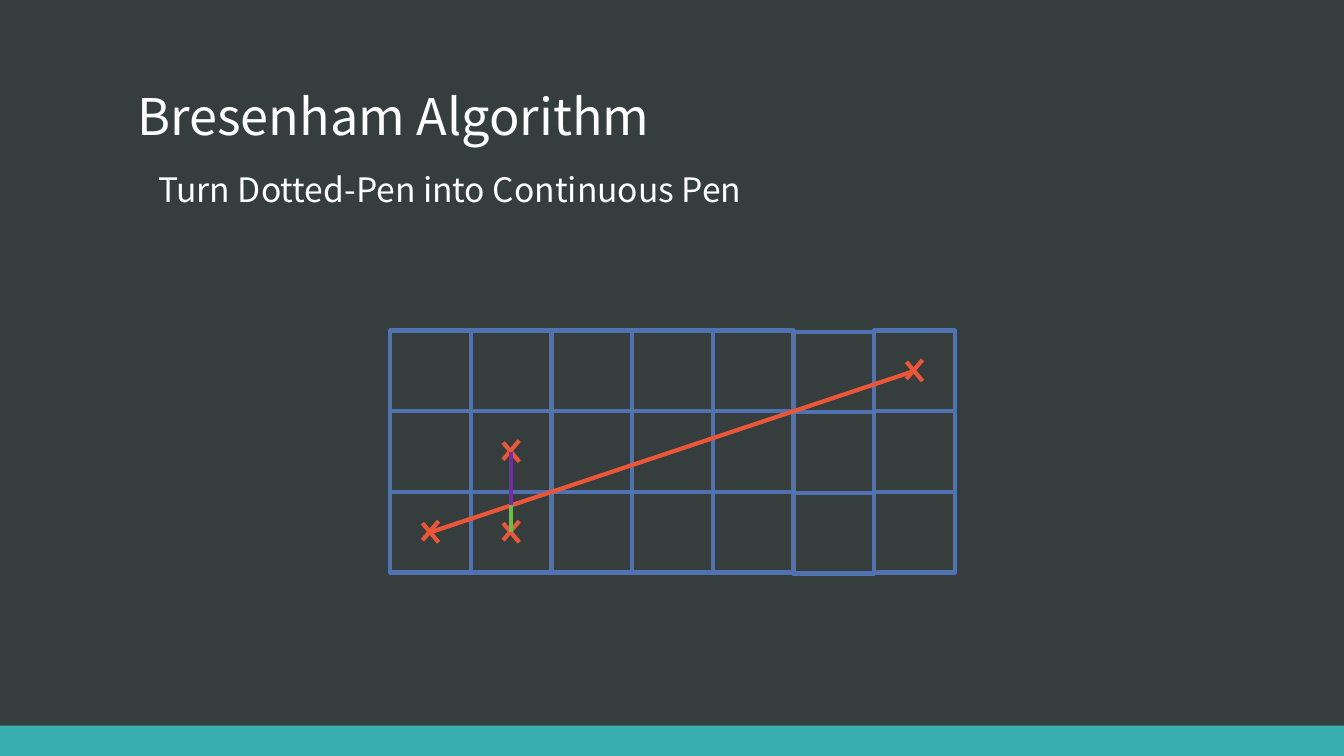
from itertools import product

from lxml.etree import SubElement
from pptx import Presentation
from pptx.dml.color import RGBColor
from pptx.enum.shapes import MSO_CONNECTOR, MSO_SHAPE
from pptx.enum.text import MSO_ANCHOR
from pptx.oxml.ns import qn
from pptx.util import Inches, Pt

BACKGROUND = RGBColor(0x36, 0x3D, 0x3D)
TEAL = RGBColor(0x3A, 0xAF, 0xB2)
WHITE = RGBColor(0xFF, 0xFF, 0xFF)
BLUE = RGBColor(0x51, 0x72, 0xB1)
ORANGE = RGBColor(0xEB, 0x56, 0x38)
PURPLE = RGBColor(0x70, 0x30, 0xA0)
GREEN = RGBColor(0x6A, 0xBD, 0x45)

FONT = "Noto Sans CJK SC"
PAGE_WIDTH, PAGE_HEIGHT = 13.33, 7.5
STROKE = Pt(3)

# Pixel grid
COLUMNS, ROWS = 7, 3
CELL = 0.8
GRID_LEFT, GRID_TOP = 3.87, 3.28
COLUMN_DROP = {5: 0.01}


def add_text(page, text, left, top, width, height, *, size, anchor,
             inset=0.1, line_spacing=1.0):
    box = page.shapes.add_textbox(*map(Inches, (left, top, width, height)))
    frame = box.text_frame
    frame.word_wrap = True
    frame.vertical_anchor = anchor
    frame.margin_left = Inches(inset)
    para = frame.paragraphs[0]
    para.line_spacing = line_spacing
    span = para.add_run()
    span.text = text
    span.font.name, span.font.size = FONT, Pt(size)
    span.font.color.rgb = WHITE
    # East Asian face follows the Latin one
    SubElement(span.font._element, qn("a:ea"), typeface=FONT)


def add_rectangle(page, left, top, width, height, *, fill=None, line=None):
    box = page.shapes.add_shape(
        MSO_SHAPE.RECTANGLE, *map(Inches, (left, top, width, height)))
    box.shadow.inherit = False
    if fill is None:
        box.fill.background()
    else:
        box.fill.solid()
        box.fill.fore_color.rgb = fill
    if line is None:
        box.line.fill.background()
    else:
        box.line.color.rgb = line
        box.line.width = STROKE


def add_line(page, start, end, color):
    line = page.shapes.add_connector(
        MSO_CONNECTOR.STRAIGHT, *map(Inches, (*start, *end)))
    line.line.color.rgb = color
    line.line.width = STROKE
    SubElement(line._element.spPr, qn("a:effectLst"))


def cell_center(column, row):
    return GRID_LEFT + (column + 0.5) * CELL, GRID_TOP + (row + 0.5) * CELL


def add_grid(page):
    for column, row in product(range(COLUMNS), range(ROWS)):
        top = GRID_TOP + row * CELL + COLUMN_DROP.get(column, 0)
        add_rectangle(page, GRID_LEFT + column * CELL, top, CELL, CELL, line=BLUE)


def add_cross(page, column, row):
    x, y = cell_center(column, row)
    add_line(page, (x - 0.08, y - 0.09), (x + 0.08, y + 0.1), ORANGE)
    add_line(page, (x + 0.08, y - 0.11), (x - 0.08, y + 0.08), ORANGE)


def main():
    deck = Presentation()
    deck.slide_width, deck.slide_height = Inches(PAGE_WIDTH), Inches(PAGE_HEIGHT)
    page = deck.slides.add_slide(deck.slide_layouts[6])
    page.background.fill.solid()
    page.background.fill.fore_color.rgb = BACKGROUND

    # Footer band
    band = 0.04 * PAGE_HEIGHT
    add_rectangle(page, 0, PAGE_HEIGHT - band, PAGE_WIDTH, band, fill=TEAL)

    # Headings
    add_text(page, "Turn Dotted-Pen into Continuous Pen", 1.47, 1.38, 10.4, 0.75,
             size=24, anchor=MSO_ANCHOR.BOTTOM, line_spacing=0.9)
    add_text(page, "Bresenham Algorithm", 0.83, 0.16, 6.12, 1.97,
             size=36, anchor=MSO_ANCHOR.MIDDLE, inset=0.53)

    # Ideal line across the grid, with the pixels it starts, ends and chooses from
    add_grid(page)
    first, last = (0, ROWS - 1), (COLUMNS - 1, 0)
    upper, lower = (1, ROWS - 2), (1, ROWS - 1)
    add_line(page, cell_center(*first), cell_center(*last), ORANGE)
    for pixel in (first, last, lower, upper):
        add_cross(page, *pixel)

    # Distances from the ideal line to both candidate pixels
    slope = (ROWS - 1) / (COLUMNS - 1)
    crossing = cell_center(1, ROWS - 1 - slope)
    add_line(page, cell_center(*upper), crossing, PURPLE)
    add_line(page, cell_center(*lower), crossing, GREEN)

    deck.save("out.pptx")


if __name__ == "__main__":
    main()
